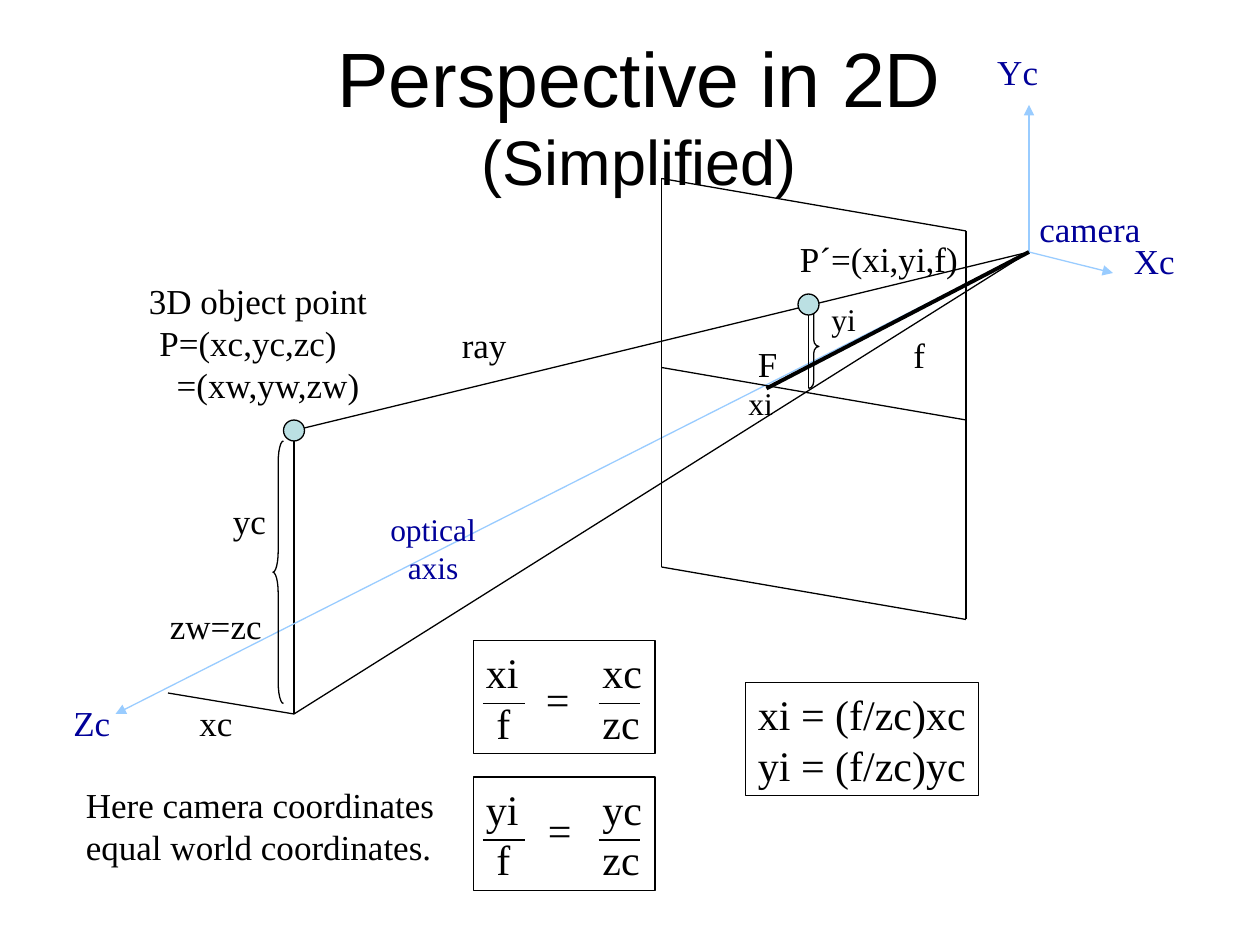
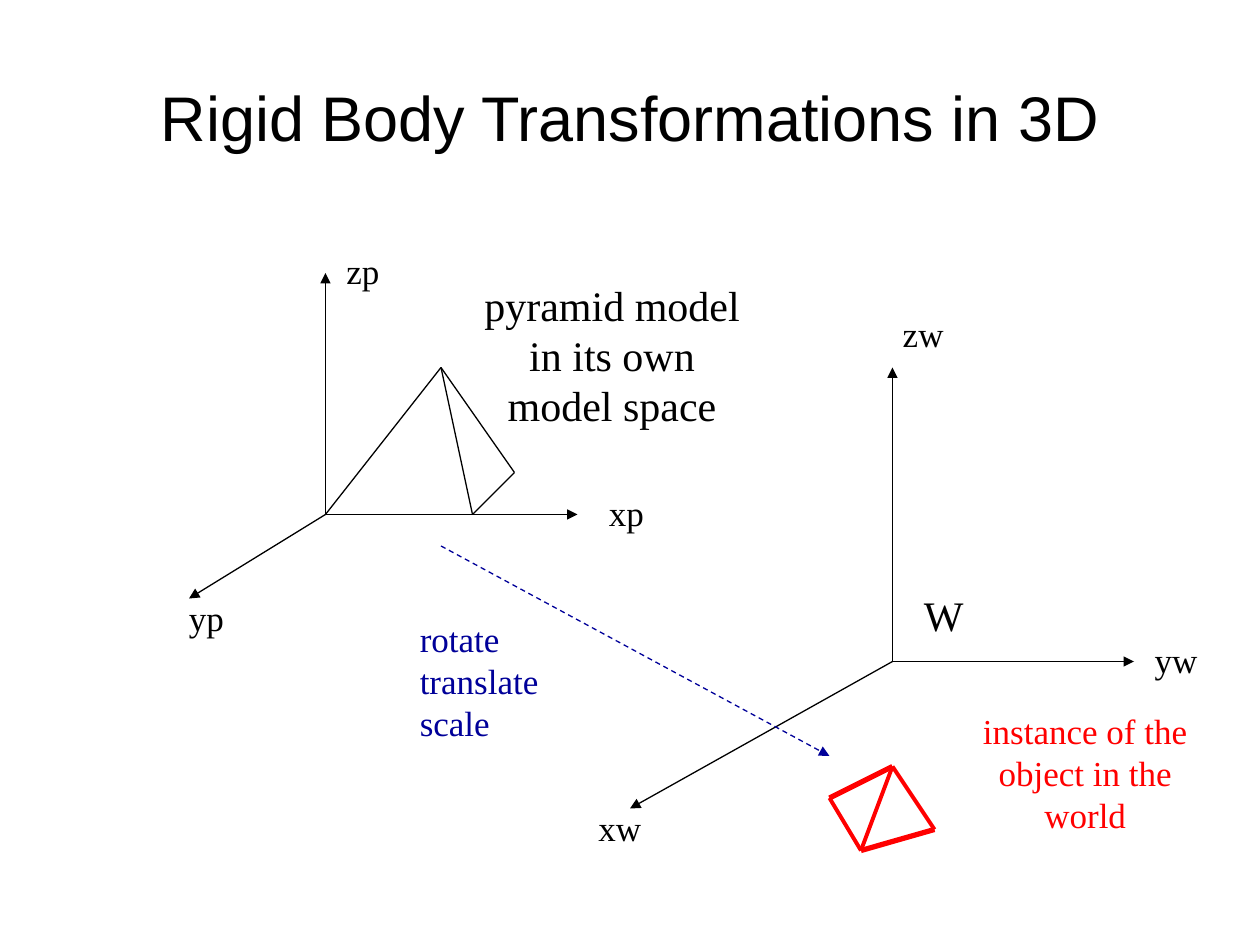
from dataclasses import dataclass

from lxml import etree
from pptx import Presentation
from pptx import util as u
from pptx.dml.color import RGBColor
from pptx.enum import dml, shapes, text
from pptx.oxml.ns import qn


@dataclass(frozen=True)
class Theme:
    ink: str = "000000"
    navy: str = "000099"
    sky: str = "99CCFF"
    red: str = "FF0000"
    point: str = "BBE0E3"
    title_font: str = "Arial"
    body_font: str = "Times New Roman"
    title: int = 44
    subtitle: int = 36
    formula: int = 24
    label: int = 20
    small: int = 18
    thin: float = 0.75
    bold: float = 2.25
    heavy: float = 3


THEME = Theme()
COLUMNS, ROWS = 120, 90


class Sketch:
    def __init__(self, deck, theme):
        self.deck = deck
        self.theme = theme
        self.slide = None

    def x(self, columns):
        return u.Emu(round(self.deck.slide_width * columns / COLUMNS))

    def y(self, rows):
        return u.Emu(round(self.deck.slide_height * rows / ROWS))

    def area(self, left, top, width, height):
        return self.x(left), self.y(top), self.x(width), self.y(height)

    def start(self, area, *title_lines):
        self.slide = self.deck.slides.add_slide(self.deck.slide_layouts[5])
        title = self.slide.shapes.title
        title.left, title.top, title.width, title.height = self.area(*area)
        frame = title.text_frame
        frame.auto_size = text.MSO_AUTO_SIZE.NONE
        frame.vertical_anchor = text.MSO_ANCHOR.MIDDLE
        paragraph = frame.paragraphs[0]
        paragraph.alignment = text.PP_ALIGN.CENTER
        for index, (words, size) in enumerate(title_lines):
            if index:
                paragraph.add_line_break()
            self.add_words(paragraph, words, size, self.theme.ink, self.theme.title_font)

    def add_words(self, paragraph, words, size, color, font):
        run = paragraph.add_run()
        run.text = words
        run.font.size = u.Pt(size)
        run.font.name = font
        run.font.color.rgb = RGBColor.from_string(color)

    def fill_frame(self, frame, lines, size, color, centred=False, indents=(), tabs=()):
        frame.word_wrap = False
        frame.auto_size = text.MSO_AUTO_SIZE.NONE
        frame.vertical_anchor = text.MSO_ANCHOR.TOP
        for index, words in enumerate(lines):
            paragraph = frame.add_paragraph() if index else frame.paragraphs[0]
            paragraph.alignment = text.PP_ALIGN.CENTER if centred else text.PP_ALIGN.LEFT
            properties = paragraph._p.get_or_add_pPr()
            if indents:
                properties.set("marL", str(self.x(indents[index])))
            if tabs:
                stops = etree.SubElement(properties, qn("a:tabLst"))
                for stop in tabs:
                    etree.SubElement(stops, qn("a:tab"), pos=str(self.x(stop)), algn="l")
            self.add_words(paragraph, words, size, color, self.theme.body_font)

    def text_rows(self, lines, size):
        return (0.1 + len(lines) * size / 60) * 12

    def label(self, left, top, width, *lines, size=None, color=None, **layout):
        size = size or self.theme.label
        area = self.area(left, top, width, self.text_rows(lines, size))
        box = self.slide.shapes.add_textbox(*area)
        self.fill_frame(box.text_frame, lines, size, color or self.theme.ink, **layout)

    def outline(self, kind, area, fill=None):
        shape = self.slide.shapes.add_shape(kind, *self.area(*area))
        shape.shadow.inherit = False
        if fill:
            shape.fill.solid()
            shape.fill.fore_color.rgb = RGBColor.from_string(fill)
        else:
            shape.fill.background()
        shape.line.color.rgb = RGBColor.from_string(self.theme.ink)
        shape.line.width = u.Pt(self.theme.thin)
        return shape

    def formula(self, left, top, width, *lines, **layout):
        size = self.theme.formula
        area = left, top, width, self.text_rows(lines, size)
        frame = self.outline(shapes.MSO_SHAPE.RECTANGLE, area).text_frame
        self.fill_frame(frame, lines, size, self.theme.ink, **layout)

    def point(self, centre):
        column, row = centre
        self.outline(shapes.MSO_SHAPE.OVAL, (column - 1, row - 1, 2, 2), self.theme.point)

    def brace(self, kind, area, curve):
        self.outline(kind, area).adjustments[0] = curve

    def line(self, start, end, color=None, width=None, arrow=False, dashed=False):
        line = self.slide.shapes.add_connector(
            shapes.MSO_CONNECTOR.STRAIGHT,
            self.x(start[0]), self.y(start[1]), self.x(end[0]), self.y(end[1]))
        line.line.color.rgb = RGBColor.from_string(color or self.theme.ink)
        line.line.width = u.Pt(width or self.theme.thin)
        if dashed:
            line.line.dash_style = dml.MSO_LINE.DASH
        if arrow:
            etree.SubElement(line.line._get_or_add_ln(), qn("a:tailEnd"), type="triangle")
        etree.SubElement(line._element.spPr, qn("a:effectLst"))

    def lines(self, pairs, **style):
        for start, end in pairs:
            self.line(start, end, **style)

    def arrows(self, origin, tips, **style):
        for tip in tips:
            self.line(origin, tip, arrow=True, **style)


def perspective(sketch):
    t = sketch.theme
    sketch.start((4.2, 2.3, 113.4, 17.2),
                 ("Perspective in 2D", t.title), ("(Simplified)", t.subtitle))
    camera, object_point, object_foot = (98, 24), (28, 41), (28, 68)
    image_point, image_foot, focus = (77, 29), (77, 37), (73, 37)
    plane_left, plane_right, plane_drop = 63, 92, 5

    sketch.lines([(object_foot, object_point), (object_foot, (16, 66)),
                  (object_foot, camera), (camera, object_point)])
    sketch.arrows(camera, [(98, 10), (11, 68), (106, 26)], color=t.sky)
    for row in (17, 35, 54):
        sketch.line((plane_left, row), (plane_right, row + plane_drop))
    sketch.line((plane_left, 17), (plane_left, 54))
    sketch.line((plane_right, 17 + plane_drop), (plane_right, 54 + plane_drop))
    sketch.line(image_foot, image_point)
    sketch.line(camera, focus, width=t.bold)
    sketch.brace(shapes.MSO_SHAPE.LEFT_BRACE, (26, 42, 1, 25), 2)
    sketch.brace(shapes.MSO_SHAPE.RIGHT_BRACE, (77, 29, 1, 8), 0.66)
    sketch.point(object_point)
    sketch.point(image_point)

    sketch.label(14, 30, 21.8, "P=(xc,yc,zc)", "=(xw,yw,zw)", indents=(0, 1.65))
    for left, top, width, words in (
            (13, 26, 23.2, "3D object point"), (17.8, 66.2, 5.5, "xc"),
            (21, 47, 5.5, "yc"), (15, 57, 11.2, "zw=zc"),
            (71, 32, 4.2, "F"), (85.8, 31.2, 3.5, "f"),
            (75, 22, 17.4, "P´=(xi,yi,f)"), (42.8, 30.2, 6.6, "ray")):
        sketch.label(left, top, width, words)
    for left, top, width, words in (
            (93.8, 4.2, 6.2, "Yc"), (106.8, 22.2, 6.2, "Xc"),
            (5.8, 66.2, 5.9, "Zc"), (97.8, 19.2, 12, "camera")):
        sketch.label(left, top, width, words, color=t.navy)
    sketch.label(78, 28, 4.7, "yi", size=t.small)
    sketch.label(70.1, 36, 4.7, "xi", size=t.small)
    sketch.label(36, 48, 10.5, "optical", "axis", size=t.small, color=t.navy, centred=True)
    sketch.label(7, 74, 35.5, "Here camera coordinates", "equal world coordinates.")

    for axis, top, bar, equals in (
            ("x", 61, 67, (50.8, 63.6)), ("y", 74, 80, (51, 76))):
        sketch.formula(45.1, top, 17.3, f"{axis}i\t{axis}c", "\tf\tzc", tabs=(1, 11.1))
        for left in (46, 57):
            sketch.line((left, bar), (left + 4, bar))
        sketch.label(*equals, 4.7, "=", size=t.formula)
    sketch.formula(71, 65, 22.2, "xi = (f/zc)xc", "yi = (f/zc)yc")


def rigid_body(sketch):
    t = sketch.theme
    sketch.start((6, 3.6, 108, 15), ("Rigid Body Transformations in 3D", t.subtitle))

    model_origin, apex, front, back = (31, 49), (42, 35), (45, 49), (49, 45)
    sketch.arrows(model_origin, [(31, 26), (55, 49), (18, 57)])
    sketch.lines([(model_origin, apex), (apex, front), (apex, back), (front, back)])

    sketch.arrows((85, 63), [(85, 35), (108, 63), (60, 77)])
    top, left, right, base = (85, 73), (79, 76), (89, 79), (82, 81)
    sketch.lines([(top, left), (base, right)], color=t.red, width=t.heavy)
    sketch.lines([(top, right), (top, base), (base, left)], color=t.red, width=t.bold)
    sketch.line((42, 52), (79, 72), color=t.navy, arrow=True, dashed=True)

    for column, row, width, words in (
            (84.8, 29.2, 6.2, "zw"), (108.8, 60.2, 6.5, "yw"),
            (55.8, 76.2, 6.5, "xw"), (56.8, 46.2, 5.8, "xp"),
            (16.8, 56.2, 5.8, "yp"), (31.8, 23.2, 5.5, "zp")):
        sketch.label(column, row, width, words)
    sketch.label(86.8, 55.6, 6.1, "W", size=t.formula)
    sketch.label(45, 26, 26.6, "pyramid model", "in its own", "model space",
                 size=t.formula, centred=True)
    sketch.label(38.8, 58.2, 13.7, "rotate", "translate", "scale", color=t.navy)
    sketch.label(92, 67, 22.7, "instance of the", "object in the", "world",
                 color=t.red, centred=True)


def main():
    deck = Presentation()
    deck.slide_width, deck.slide_height = u.Inches(10), u.Inches(7.5)
    sketch = Sketch(deck, THEME)
    perspective(sketch)
    rigid_body(sketch)
    deck.save("out.pptx")


if __name__ == "__main__":
    main()
